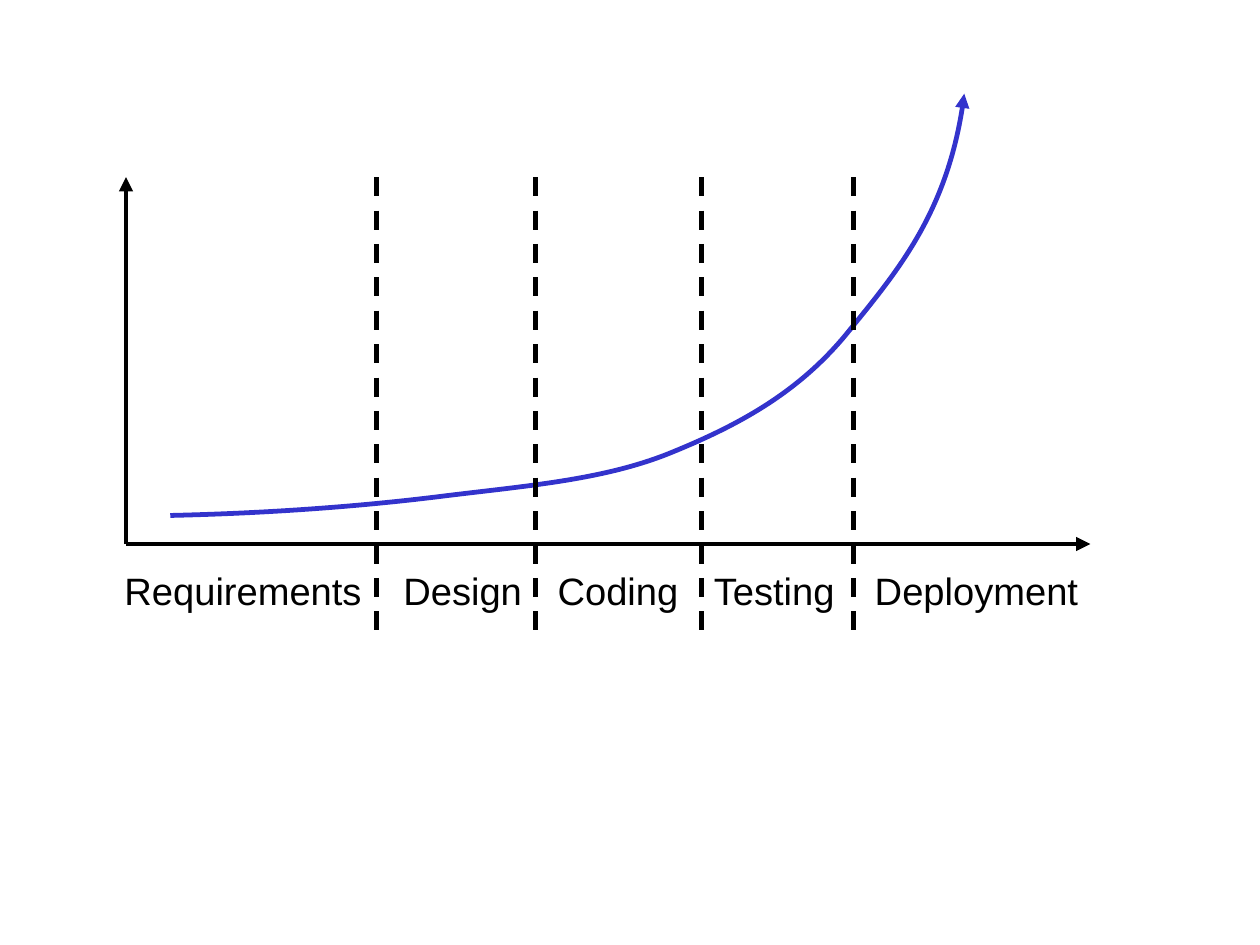
import pptx
import pptx.util
import pptx.dml.color
import pptx.enum.dml
import pptx.enum.shapes
import pptx.enum.text
import pptx.oxml
import pptx.oxml.ns

Pt = pptx.util.Pt
qn = pptx.oxml.ns.qn
BLACK = pptx.dml.color.RGBColor(0x00, 0x00, 0x00)
BLUE = pptx.dml.color.RGBColor(0x33, 0x33, 0xCC)

SIZE = (793.75, 595.25)
LEFT, RIGHT = 79.4, 686.9
TOP, BASE, FOOT = 111.6, 342.7, 401.4
SPLITS = [237.3, 337.6, 442.1, 537.5]
PHASES = [
    ("Requirements", 71.3, 165),
    ("Design", 247, 91),
    ("Coding", 344.2, 92),
    ("Testing", 442.6, 94),
    ("Deployment", 544, 144),
]
LABEL_TOP, LABEL_HIGH = 356.5, 33.8
CURVE = [
    (107.3, 324.7),
    (169.9, 323.3), (227.5, 319), (279.4, 312.5),
    (331.9, 306), (379.4, 302.4), (421.2, 285.8),
    (463.7, 268.6), (501.8, 248.4), (532.8, 211),
    (563.8, 172.8), (598.3, 133.2), (607.5, 59),
]


def make(tag):
    return pptx.oxml.parse_xml(
        f'<{tag} xmlns:a="http://schemas.openxmlformats.org/drawingml/2006/main"/>')


def ink(shape, color, arrow):
    shape.line.color.rgb = color
    shape.line.width = Pt(3)
    if arrow:
        head = make("a:tailEnd")
        head.set("type", "triangle")
        shape.element.spPr.find(qn("a:ln")).append(head)


def rule(x1, y1, x2, y2, arrow=False):
    line = shapes.add_connector(
        pptx.enum.shapes.MSO_CONNECTOR.STRAIGHT, Pt(x1), Pt(y1), Pt(x2), Pt(y2))
    ink(line, BLACK, arrow)
    line.element.spPr.append(make("a:effectLst"))
    return line


def split(x):
    line = rule(x, TOP, x, FOOT)
    line.line.dash_style = pptx.enum.dml.MSO_LINE.DASH


def label(text, x, wide):
    box = shapes.add_textbox(Pt(x), Pt(LABEL_TOP), Pt(wide), Pt(LABEL_HIGH))
    frame = box.text_frame
    frame.word_wrap = False
    frame.auto_size = pptx.enum.text.MSO_AUTO_SIZE.SHAPE_TO_FIT_TEXT
    frame.text = text
    para = frame.paragraphs[0]
    para.line_spacing = 0.93
    font = para.runs[0].font
    font.name, font.size = "Arial", Pt(24)
    font.color.rgb = BLACK


def bend(points):
    spots = [(Pt(x), Pt(y)) for x, y in points]
    form = shapes.build_freeform(*spots[0])
    form.add_line_segments(spots[1:], close=False)
    curve = form.convert_to_shape()
    curve.shadow.inherit = False
    curve.fill.background()
    ink(curve, BLUE, True)
    steps = list(curve.element.iter(qn("a:lnTo")))
    for i in range(0, len(steps), 3):
        cubic = make("a:cubicBezTo")
        steps[i].addprevious(cubic)
        for step in steps[i:i + 3]:
            cubic.append(step[0])
            step.getparent().remove(step)


deck = pptx.Presentation()
deck.slide_width, deck.slide_height = Pt(SIZE[0]), Pt(SIZE[1])
shapes = deck.slides.add_slide(deck.slide_layouts[6]).shapes

rule(LEFT, BASE, RIGHT, BASE, True)
rule(LEFT, BASE, LEFT, TOP, True)
split(SPLITS[0])
for phase in PHASES:
    label(*phase)
bend(CURVE)
for x in SPLITS[1:]:
    split(x)

deck.save("out.pptx")
